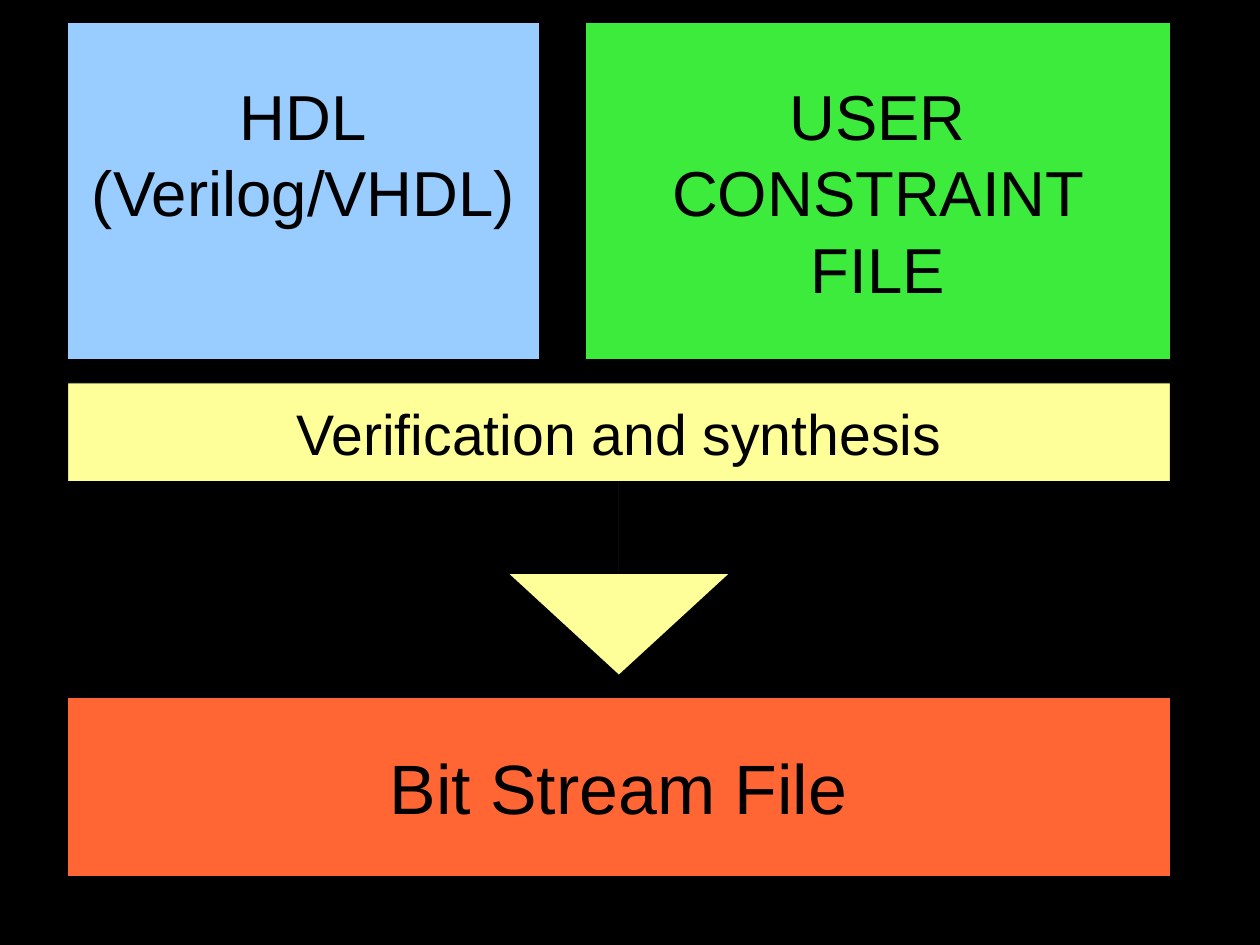
from dataclasses import dataclass

from pptx import Presentation
from pptx.dml.color import RGBColor
from pptx.enum.shapes import MSO_SHAPE
from pptx.enum.text import MSO_ANCHOR, PP_ALIGN
from pptx.util import Emu, Inches, Pt

# Content
SOURCE_CODE = ["HDL", "(Verilog/VHDL)"]
CONSTRAINTS = ["USER", "CONSTRAINT FILE"]
SYNTHESIS = ["Verification and synthesis"]
BIT_STREAM = ["Bit Stream File"]


@dataclass(frozen=True)
class Theme:
    font: str = "Arial"
    ink: str = "000000"
    code: str = "99CCFF"
    constraints: str = "3DEB3D"
    synthesis: str = "FFFF99"
    output: str = "FF6633"
    input_size: int = 40
    step_size: int = 36
    output_size: int = 44


THEME = Theme()

# Screen page of 28 by 21 cm, in whole 1/576 inch units
PAGE_W, PAGE_H = Emu(10080625), Emu(7559675)

# Layout in inches: two inputs side by side, then two full-width stages
LEFT, TOP, WIDTH = 0.59, 0.2, 9.65
CODE_W, INPUT_H = 4.13, 2.95
CONSTRAINTS_X, CONSTRAINTS_W = 5.12, 5.12
STEP_H, OUTPUT_H, ROW_GAP = 2.56, 1.57, 0.2
STEP_Y = TOP + INPUT_H + ROW_GAP
OUTPUT_Y = STEP_Y + STEP_H + ROW_GAP - 0.01
CODE_LIFT = 0.67  # raises the code label by half a line

# Shaft width, head half-width, head length, box height
CALLOUT_SHAPE = (-0.155, 0.38, 0.349, 0.338)


def color(code):
    return RGBColor.from_string(code)


def add_block(slide, kind, lines, box, fill, size, lift=0):
    block = slide.shapes.add_shape(kind, *(Inches(value) for value in box))
    block.shadow.inherit = False
    block.fill.solid()
    block.fill.fore_color.rgb = color(fill)
    block.line.color.rgb = color(THEME.ink)
    block.line.width = Pt(0)

    frame = block.text_frame
    frame.word_wrap = True
    frame.vertical_anchor = MSO_ANCHOR.MIDDLE
    frame.margin_bottom = Inches(0.05 + lift)
    frame.text = "\n".join(lines)
    for paragraph in frame.paragraphs:
        paragraph.alignment = PP_ALIGN.CENTER
        for run in paragraph.runs:
            run.font.name = THEME.font
            run.font.size = Pt(size)
            run.font.color.rgb = color(THEME.ink)
    return block


def main():
    deck = Presentation()
    deck.slide_width, deck.slide_height = PAGE_W, PAGE_H
    slide = deck.slides.add_slide(deck.slide_layouts[6])
    slide.background.fill.solid()
    slide.background.fill.fore_color.rgb = color(THEME.ink)

    # Inputs
    add_block(slide, MSO_SHAPE.RECTANGLE, SOURCE_CODE,
              (LEFT, TOP, CODE_W, INPUT_H),
              THEME.code, THEME.input_size, CODE_LIFT)
    add_block(slide, MSO_SHAPE.RECTANGLE, CONSTRAINTS,
              (CONSTRAINTS_X, TOP, CONSTRAINTS_W, INPUT_H),
              THEME.constraints, THEME.input_size)

    # Synthesis step, pointing down to the output
    synthesis = add_block(slide, MSO_SHAPE.DOWN_ARROW_CALLOUT, SYNTHESIS,
                          (LEFT, STEP_Y, WIDTH, STEP_H),
                          THEME.synthesis, THEME.step_size)
    for index, value in enumerate(CALLOUT_SHAPE):
        synthesis.adjustments[index] = value

    # Output
    add_block(slide, MSO_SHAPE.RECTANGLE, BIT_STREAM,
              (LEFT, OUTPUT_Y, WIDTH, OUTPUT_H),
              THEME.output, THEME.output_size)

    deck.save("out.pptx")


if __name__ == "__main__":
    main()
